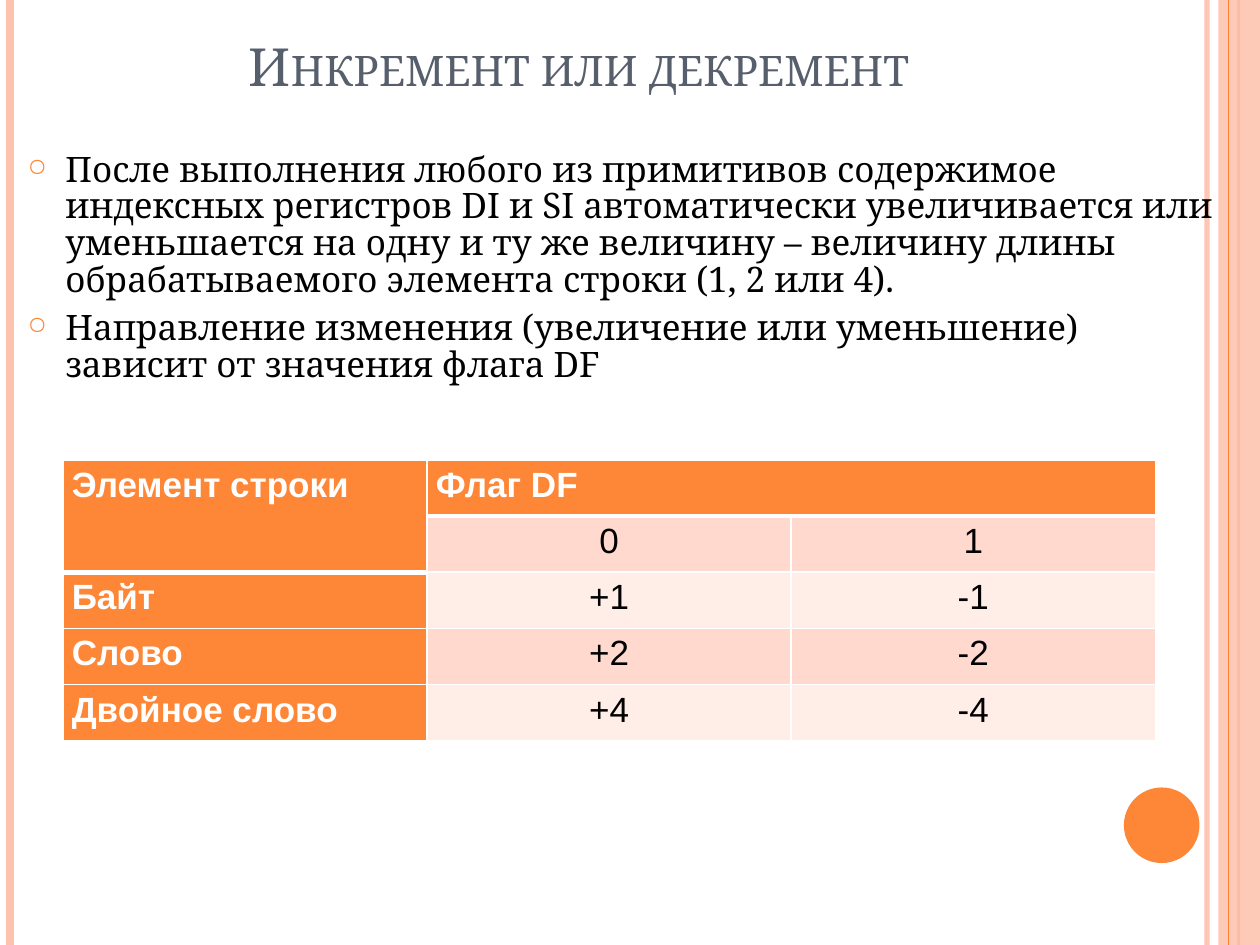
from dataclasses import dataclass

from lxml import etree
from pptx import Presentation
from pptx import util as u
from pptx.dml.color import RGBColor
from pptx.enum import shapes, text
from pptx.oxml.ns import qn


@dataclass(frozen=True)
class Theme:
    """Colours, fonts and type sizes of the slide."""
    accent: str = "FE8637"
    pale: str = "FEC3AE"
    bands: tuple = ("FFEDE8", "FFD9CE")
    title: str = "575F6D"
    ink: str = "000000"
    white: str = "FFFFFF"
    serif: str = "Noto Serif"
    sans: str = "Arial"
    title_size: int = 30
    text_size: int = 20


T = Theme()
W, H = 10, 7.5
TITLE = "Инкремент или декремент"
POINTS = [
    "После выполнения любого из примитивов содержимое индексных регистров DI и SI "
    "автоматически увеличивается или уменьшается на одну и ту же величину – величину "
    "длины обрабатываемого элемента строки (1, 2 или 4).",
    "Направление изменения (увеличение или уменьшение) зависит от значения флага DF",
]
ROWS = [
    ["Элемент строки", "Флаг DF", ""],
    ["", "0", "1"],
    ["Байт", "+1", "-1"],
    ["Слово", "+2", "-2"],
    ["Двойное слово", "+4", "-4"],
]
# Vertical rules: x, colour, width in points, opacity in percent
RULES = [(9.58, T.pale, 3, 93), (0.08, T.pale, 4.5, 100),
         (9.83, T.accent, 1.5, 100), (9.75, T.accent, 0.75, 100)]


def box(*lengths):
    """Convert inches to slide units."""
    return [u.Inches(v) for v in lengths]


def child(parent, tag, **attrs):
    """Append a DrawingML element."""
    return etree.SubElement(parent, qn(tag), {k: str(v) for k, v in attrs.items()})


def set_alpha(element, percent):
    """Make the colours inside an element partly transparent."""
    if percent < 100:
        for color in element.iter(qn("a:srgbClr")):
            child(color, "a:alpha", val=percent * 1000)


def add_run(p, words, font, size, color, bold=False):
    """Add one formatted run."""
    r = p.add_run()
    r.text = words
    r.font.name, r.font.size, r.font.bold = font, u.Pt(size), bold
    r.font.color.rgb = RGBColor.from_string(color)
    return r


def add_rule(s, x, color, width, opacity):
    """Draw a vertical rule over the full height."""
    line = s.shapes.add_connector(shapes.MSO_CONNECTOR.STRAIGHT, *box(x, 0, x, H))
    line.line.color.rgb = RGBColor.from_string(color)
    line.line.width = u.Pt(width)
    sp_pr = line._element.spPr
    set_alpha(sp_pr, opacity)
    child(sp_pr, "a:effectLst")


def add_filled(s, kind, place, color, opacity=100):
    """Add a filled shape without an outline."""
    sp = s.shapes.add_shape(kind, *box(*place))
    sp.shadow.inherit = False
    sp.fill.solid()
    sp.fill.fore_color.rgb = RGBColor.from_string(color)
    sp.line.fill.background()
    set_alpha(sp._element.spPr, opacity)


def add_frame(s):
    """Draw the side rules, the band and the disc."""
    for rule in RULES[:3]:
        add_rule(s, *rule)
    add_filled(s, shapes.MSO_SHAPE.RECTANGLE, (9.67, 0, 0.33, H), T.pale, 87)
    add_rule(s, *RULES[3])
    add_filled(s, shapes.MSO_SHAPE.OVAL, (8.92, 6.25, 0.6, 0.6), T.accent)


def set_title(s):
    """Place and format the title in front of the frame."""
    sp = s.shapes.title
    s.shapes._spTree.append(sp._element)
    sp.left, sp.top, sp.width, sp.height = box(0.51, 0, 8.17, 0.77)
    tf = sp.text_frame
    tf.vertical_anchor = text.MSO_ANCHOR.BOTTOM
    tf.auto_size = text.MSO_AUTO_SIZE.NONE
    tf.margin_bottom = 0
    p = tf.paragraphs[0]
    p.alignment = text.PP_ALIGN.CENTER
    r = add_run(p, TITLE, T.serif, T.title_size, T.title)
    r.font._element.set("cap", "small")


def add_bullet(p):
    """Give a paragraph a hanging ring bullet."""
    p_pr = p._p.get_or_add_pPr()
    p_pr.set("marL", str(u.Inches(0.3)))
    p_pr.set("indent", str(-u.Inches(0.3)))
    child(child(p_pr, "a:buClr"), "a:srgbClr", val=T.accent)
    child(p_pr, "a:buSzPct", val=70000)
    child(p_pr, "a:buChar", char="○")


def add_points(s):
    """Add the bulleted text."""
    tf = s.shapes.add_textbox(*box(0.12, 0.92, 9.69, 2.6)).text_frame
    tf.word_wrap = True
    tf.margin_top = u.Inches(0.29)
    for i, words in enumerate(POINTS):
        p = tf.add_paragraph() if i else tf.paragraphs[0]
        p.line_spacing = 0.88
        p.space_before = u.Pt(6 if i else 0)
        add_bullet(p)
        add_run(p, words, T.serif, T.text_size, T.ink)


def set_borders(cell, top, bottom):
    """Draw white cell borders; side borders are one point wide."""
    tc_pr = cell._tc.get_or_add_tcPr()
    for i, (side, width) in enumerate(zip("LRTB", (1, 1, top, bottom))):
        ln = etree.Element(qn(f"a:ln{side}"), w=str(u.Pt(width)))
        child(child(ln, "a:solidFill"), "a:srgbClr", val=T.white)
        tc_pr.insert(i, ln)


def bottom_width(row, col):
    """Return the border width under a cell, thick under the headings."""
    return 3 if row == (1 if col == 0 else 0) else 1


def add_flag_table(s):
    """Add the table of steps for each flag value."""
    tbl = s.shapes.add_table(len(ROWS), 3, *box(0.5, 3.65, 8.67, 2.23)).table
    for i, words_row in enumerate(ROWS):
        for j, words in enumerate(words_row):
            head = i == 0 or j == 0
            cell = tbl.cell(i, j)
            cell.margin_left = cell.margin_right = u.Inches(0.07)
            cell.margin_top = cell.margin_bottom = 0
            cell.fill.solid()
            cell.fill.fore_color.rgb = RGBColor.from_string(
                T.accent if head else T.bands[i % 2])
            set_borders(cell, bottom_width(i - 1, j), bottom_width(i, j))
            if words:
                p = cell.text_frame.paragraphs[0]
                p.line_spacing = 1.15
                p.alignment = text.PP_ALIGN.JUSTIFY if head else text.PP_ALIGN.CENTER
                add_run(p, words, T.sans, T.text_size,
                        T.white if head else T.ink, bold=head)
    tbl.cell(0, 0).merge(tbl.cell(1, 0))
    tbl.cell(0, 1).merge(tbl.cell(0, 2))


def main():
    """Build and save the slide."""
    prs = Presentation()
    prs.slide_width, prs.slide_height = box(W, H)
    s = prs.slides.add_slide(prs.slide_layouts[5])
    add_frame(s)
    set_title(s)
    add_points(s)
    add_flag_table(s)
    prs.save("out.pptx")


main()
